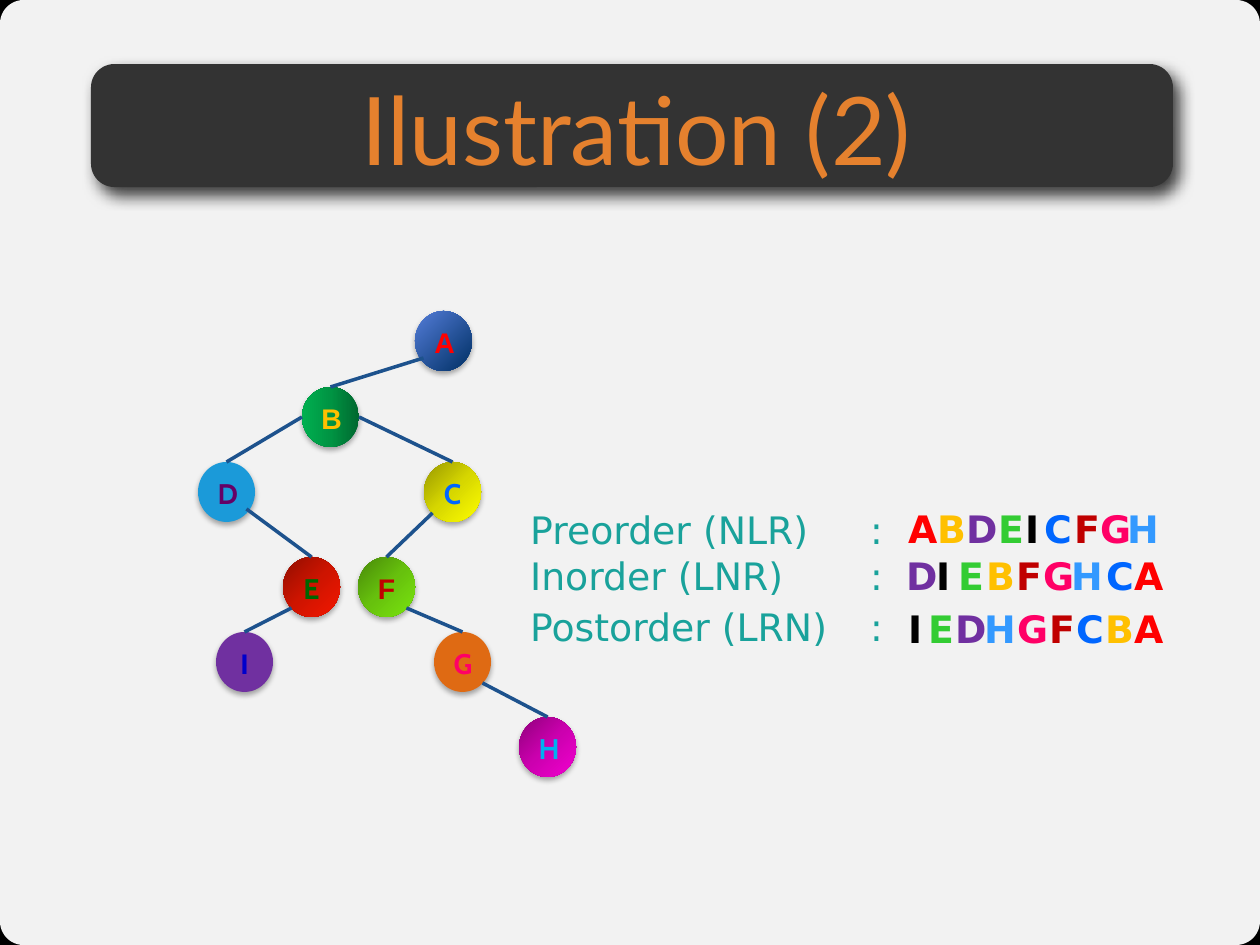
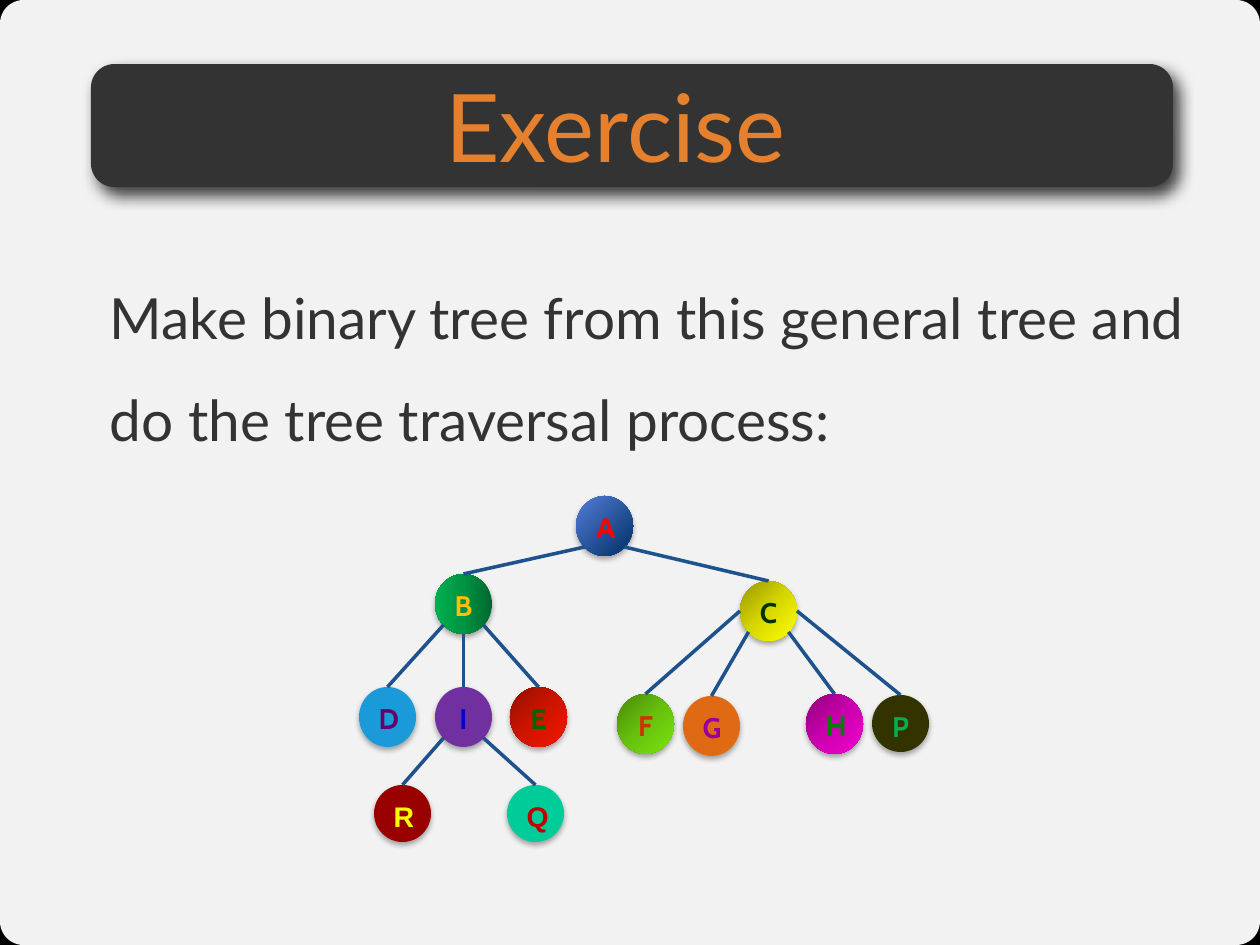
from collections import namedtuple
from dataclasses import dataclass
from typing import NamedTuple

from lxml import etree
from pptx import Presentation
from pptx.dml.color import RGBColor
from pptx.enum.shapes import MSO_CONNECTOR, MSO_SHAPE
from pptx.enum.text import MSO_ANCHOR, MSO_AUTO_SIZE, PP_ALIGN
from pptx.oxml.ns import qn
from pptx.shapes.autoshape import Shape
from pptx.slide import Slide
from pptx.text.text import TextFrame
from pptx.util import Emu, Pt

ROUND, OVAL = MSO_SHAPE.ROUNDED_RECTANGLE, MSO_SHAPE.OVAL
STRAIGHT = MSO_CONNECTOR.STRAIGHT
TOP, MIDDLE = MSO_ANCHOR.TOP, MSO_ANCHOR.MIDDLE
LEFT, CENTER = PP_ALIGN.LEFT, PP_ALIGN.CENTER
GROW = MSO_AUTO_SIZE.SHAPE_TO_FIT_TEXT

WIDE, HIGH = 1260, 945
SCALE = 10160000 / WIDE
NODE_W, TAB = 57, 340

Box = namedtuple("Box", "x y w h")
Font = namedtuple("Font", "face size color bold", defaults=[False])
Shade = namedtuple("Shade", "color alpha blur dist angle")
Blend = namedtuple("Blend", "colors angle", defaults=[45])
Glyph = namedtuple("Glyph", "color w wrap", defaults=[True])
Site = namedtuple("Site", "x y")


@dataclass(frozen=True)
class Theme:
    """Colours and type shared by the slides."""
    back: str = "000000"
    card: str = "FFFFFF"
    band: str = "333333"
    line: str = "1D528D"
    line_pt: float = 2.25
    title: Font = Font("Lato", 60, "E5812E")
    body: Font = Font("Lato", 36, "333333")
    label: Font = Font("DejaVu Sans", 24, "19A29B")
    node_pt: int = 18
    band_shade: Shade = Shade("000000", 75, 10, 6, 51)
    node_shade: Shade = Shade("000000", 32, 3.5, 2.2, 90)


THEME = Theme()
FILLS: dict[str, Blend] = {
    "A": Blend(("547DD8", "003065")),
    "B": Blend(("00682F", "009443", "00B050"), 180),
    "C": Blend(("979700", "D7D700", "FFFF00")),
    "E": Blend(("910E00", "CE1400", "F41700")),
    "F": Blend(("488809", "67C10D", "7AE50F")),
    "H": Blend(("8F007B", "CC00AF", "F200CF")),
    "D": Blend(("1B9AD9",)), "G": Blend(("DF6A13",)), "I": Blend(("7030A0",)),
    "P": Blend(("333300",)), "Q": Blend(("00CC99",)), "R": Blend(("990000",)),
}
GLYPHS: dict[str, Glyph] = {
    "A": Glyph("FF0000", 33), "B": Glyph("FFC000", 52, False),
    "D": Glyph("7030A0", 45), "E": Glyph("33CC33", 43),
    "C": Glyph("0066FF", 51, False), "G": Glyph("FF0066", 35),
    "H": Glyph("3399FF", 54, False), "I": Glyph("000000", 43),
    "F": Glyph("C00000", 48, False),
}


class Node(NamedTuple):
    """A lettered circle of a tree."""
    name: str
    x: int
    y: int
    ink: str
    face: str = "Cabin"
    h: int = 60


class Link(NamedTuple):
    """A line from a site of the parent to the top of the child."""
    start: str
    site: Site
    end: str
    lift: int = 0


class Row(NamedTuple):
    """A traversal with the left edge of each of its letters."""
    label: str
    label_y: int
    y: int
    order: str
    lefts: tuple[int, ...]


WEST, EAST, SOUTH = Site(0, 0.5), Site(1, 0.5), Site(0.5, 1)
LOW_L, LOW_R = Site(0.15, 0.85), Site(0.85, 0.85)
FIRST_NODES = (
    Node("A", 415, 311, "FF0000", "Arial"), Node("B", 302, 387, "FFC000", "Arial"),
    Node("H", 519, 717, "00B0F0"), Node("C", 424, 462, "0066FF"),
    Node("D", 198, 462, "660066"), Node("E", 283, 557, "006600"),
    Node("F", 358, 557, "C00000", "Arial"), Node("G", 434, 632, "FF0066"),
    Node("I", 216, 632, "0000CC", "Arial"),
)
FIRST_LINKS = (
    Link("A", LOW_L, "B", 4), Link("B", WEST, "D"), Link("D", LOW_R, "E", 4),
    Link("E", LOW_L, "I"), Link("B", EAST, "C"), Link("C", LOW_L, "F"),
    Link("F", LOW_R, "G"), Link("G", LOW_R, "H"),
)
ROWS = (
    Row("Preorder (NLR)\t:", 501, 500, "ABDEICFGH",
        (897, 926, 955, 987, 1014, 1033, 1063, 1089, 1116)),
    Row("Inorder (LNR)\t:", 547, 547, "DIEBFGHCA",
        (895, 925, 947, 975, 1005, 1032, 1060, 1095, 1123)),
    Row("Postorder (LRN)\t:", 598, 600, "IEDHGFCBA",
        (897, 917, 944, 973, 1006, 1038, 1065, 1094, 1123)),
)
NEXT_NODES = (
    Node("A", 576, 496, "FF0000", "Arial"), Node("B", 435, 574, "FFC000"),
    Node("H", 806, 694, "008000"), Node("C", 740, 581, "003300"),
    Node("D", 359, 687, "660066"), Node("E", 510, 687, "006600"),
    Node("F", 617, 694, "CC3300"), Node("G", 683, 696, "990099"),
    Node("I", 435, 687, "0000CC"), Node("R", 374, 785, "FFFF00", "Arial", 57),
    Node("P", 872, 695, "00B050", h=57), Node("Q", 507, 785, "C00000", "Arial", 57),
)
NEXT_LINKS = (
    Link("A", LOW_L, "B"), Link("A", LOW_R, "C"), Link("B", LOW_L, "D"),
    Link("B", LOW_R, "E"), Link("C", WEST, "F"), Link("C", LOW_R, "H"),
    Link("C", LOW_L, "G"), Link("B", SOUTH, "I"), Link("C", EAST, "P"),
    Link("I", LOW_R, "Q"), Link("I", LOW_L, "R"),
)


def px(size: float) -> Emu:
    """Turn pixels into EMU."""
    return Emu(round(size * SCALE))


def tint(parent: etree._Element, color: str, alpha: int = 100) -> None:
    """Add a colour with an opacity to an XML parent."""
    node = etree.SubElement(parent, qn("a:srgbClr"), val=color)
    if alpha < 100:
        etree.SubElement(node, qn("a:alpha"), val=str(alpha * 1000))


def paint(shape: Shape, blend: Blend, alpha: int = 100) -> None:
    """Fill a shape with one colour or a gradient."""
    shape.fill.background()
    old = shape._element.spPr.find(qn("a:noFill"))
    if len(blend.colors) == 1:
        fill = etree.Element(qn("a:solidFill"))
        tint(fill, blend.colors[0], alpha)
    else:
        fill = etree.Element(qn("a:gradFill"), rotWithShape="1")
        stops = etree.SubElement(fill, qn("a:gsLst"))
        step = 100000 // (len(blend.colors) - 1)
        for i, color in enumerate(blend.colors):
            tint(etree.SubElement(stops, qn("a:gs"), pos=str(i * step)), color)
        etree.SubElement(fill, qn("a:lin"), ang=str(blend.angle * 60000), scaled="0")
    old.getparent().replace(old, fill)


def cast(shape: Shape, shade: Shade) -> None:
    """Give a shape an outer shadow."""
    effects = shape._element.spPr.find(qn("a:effectLst"))
    outer = etree.SubElement(
        effects, qn("a:outerShdw"), blurRad=str(Pt(shade.blur)),
        dist=str(Pt(shade.dist)), dir=str(shade.angle * 60000),
        algn="ctr", rotWithShape="0")
    tint(outer, shade.color, shade.alpha)


def add_form(slide: Slide, kind: MSO_SHAPE, box: Box, blend: Blend,
             alpha: int = 100) -> Shape:
    """Draw a filled shape without outline or shadow."""
    shape = slide.shapes.add_shape(kind, *map(px, box))
    shape.line.fill.background()
    shape.shadow.inherit = False
    paint(shape, blend, alpha)
    return shape


def write(frame: TextFrame, text: str, font: Font, align: PP_ALIGN = LEFT) -> None:
    """Set and format the only paragraph of a frame."""
    frame.text = text
    para = frame.paragraphs[0]
    para.alignment = align
    style = para.runs[0].font
    style.name, style.size, style.bold = font.face, Pt(font.size), font.bold
    style.color.rgb = RGBColor.from_string(font.color)


def add_text(slide: Slide, box: Box, text: str, font: Font,
             align: PP_ALIGN = LEFT) -> TextFrame:
    """Add a wrapped text box."""
    frame = slide.shapes.add_textbox(*map(px, box)).text_frame
    frame.word_wrap = True
    write(frame, text, font, align)
    return frame


def strip(frame: TextFrame) -> None:
    """Remove the insets of a frame."""
    frame.margin_left = frame.margin_right = 0
    frame.margin_top = frame.margin_bottom = 0


def add_base(deck: Presentation, title: str, x: int, y: int) -> Slide:
    """Add a slide with the card, the band and its title."""
    slide = deck.slides.add_slide(deck.slide_layouts[6])
    back = slide.background.fill
    back.solid()
    back.fore_color.rgb = RGBColor.from_string(THEME.back)
    card = add_form(slide, ROUND, Box(0, 0, WIDE, HIGH), Blend((THEME.card,)), 95)
    card.adjustments[0] = 0.025
    band = add_form(slide, ROUND, Box(91, 64, 1082, 123), Blend((THEME.band,)))
    band.adjustments[0] = 0.19
    cast(band, THEME.band_shade)
    frame = add_text(slide, Box(x, y, 1077, 113), title, THEME.title, CENTER)
    frame.vertical_anchor = MIDDLE
    strip(frame)
    return slide


def add_tree(slide: Slide, nodes: tuple[Node, ...], links: tuple[Link, ...]) -> None:
    """Draw the circles of a tree and the lines between them."""
    for node in nodes:
        oval = add_form(slide, OVAL, Box(node.x, node.y, NODE_W, node.h), FILLS[node.name])
        cast(oval, THEME.node_shade)
        oval.text_frame.vertical_anchor = TOP
        write(oval.text_frame, node.name,
              Font(node.face, THEME.node_pt, node.ink, True), CENTER)
    named = {node.name: node for node in nodes}
    for link in links:
        head, child = named[link.start], named[link.end]
        line = slide.shapes.add_connector(
            STRAIGHT, px(head.x + link.site.x * NODE_W),
            px(head.y + link.site.y * head.h - link.lift),
            px(child.x + NODE_W / 2), px(child.y))
        line.line.color.rgb = RGBColor.from_string(THEME.line)
        line.line.width = Pt(THEME.line_pt)
        etree.SubElement(line._element.spPr, qn("a:effectLst"))


def add_label(slide: Slide, row: Row) -> None:
    """Write the name of a traversal, its colon on a tab stop."""
    frame = add_text(slide, Box(519, row.label_y, 388, 57), row.label, THEME.label)
    frame.auto_size = GROW
    tabs = etree.SubElement(frame.paragraphs[0]._p.get_or_add_pPr(), qn("a:tabLst"))
    etree.SubElement(tabs, qn("a:tab"), pos=str(px(TAB)), algn="l")


def add_run(slide: Slide, row: Row, names: str) -> None:
    """Write the named letters of a traversal in their colours."""
    for name in names:
        glyph, x = GLYPHS[name], row.lefts[row.order.index(name)]
        font = THEME.label._replace(color=glyph.color, bold=True)
        frame = add_text(slide, Box(x, row.y, glyph.w, 57), name, font)
        frame.word_wrap, frame.auto_size = glyph.wrap, GROW


def main() -> None:
    """Build and save the deck."""
    deck = Presentation()
    deck.slide_width, deck.slide_height = px(WIDE), px(HIGH)
    first = add_base(deck, "Ilustration (2)", 98, 71)
    add_label(first, ROWS[0])
    add_run(first, ROWS[0], "ABDECGH")
    for row in ROWS[1:]:
        add_label(first, row)
    add_tree(first, FIRST_NODES, FIRST_LINKS)
    add_run(first, ROWS[0], "IF")
    for row in ROWS[1:]:
        add_run(first, row, "".join(GLYPHS))
    task = add_base(deck, "Exercise", 77, 68)
    body = add_text(
        task, Box(110, 249, 1084, 634),
        "Make binary tree from this general tree and do the tree traversal process:",
        THEME.body)
    strip(body)
    body.paragraphs[0].line_spacing = 1.5
    add_tree(task, NEXT_NODES, NEXT_LINKS)
    deck.save("out.pptx")


main()
